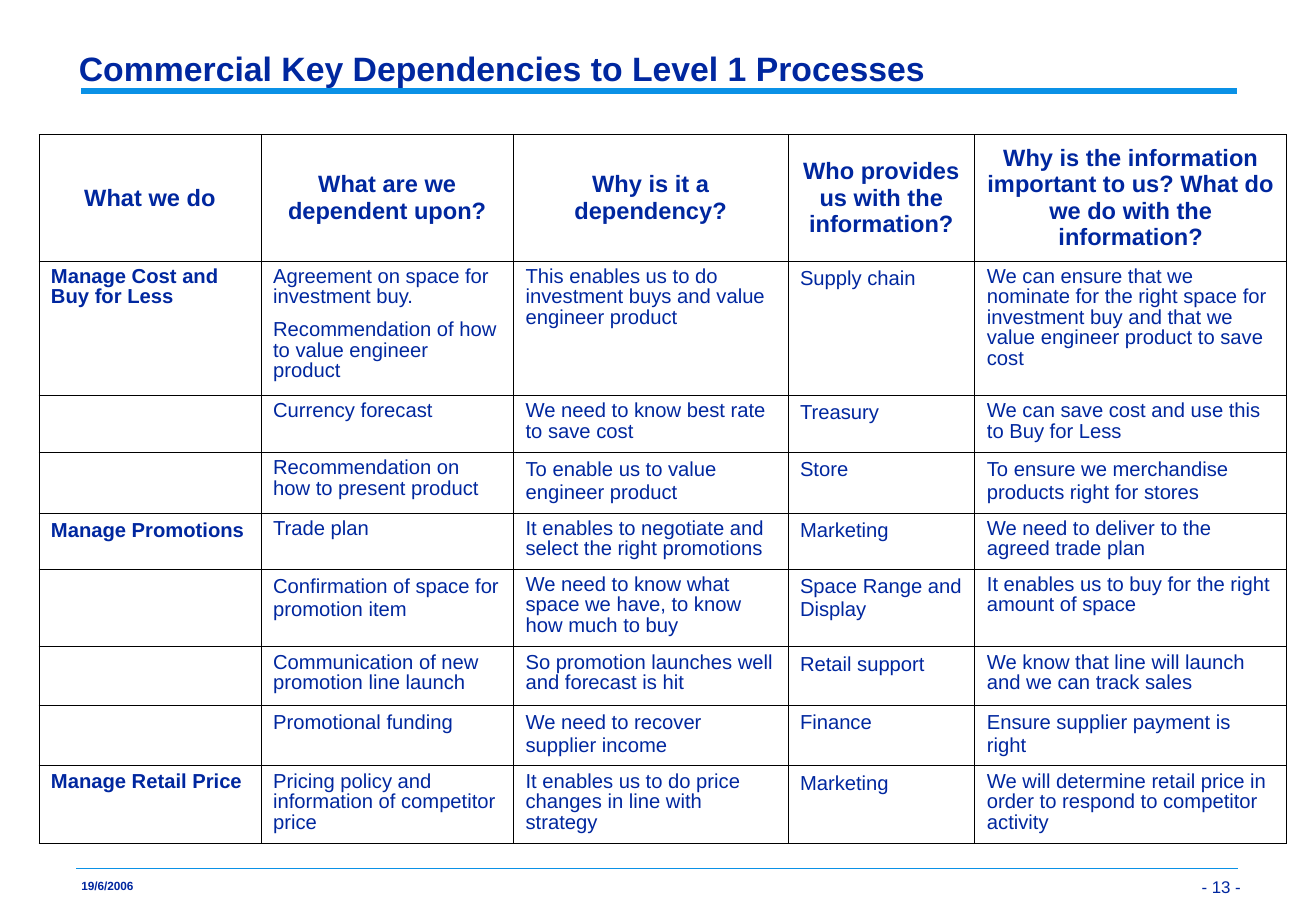
from dataclasses import dataclass
from typing import Any

from lxml.etree import SubElement
from pptx import Presentation
from pptx.dml.color import RGBColor
from pptx.enum.shapes import MSO_CONNECTOR as Conn
from pptx.enum.text import MSO_ANCHOR as Anchor, PP_ALIGN as Align
from pptx.oxml.ns import qn
from pptx.util import Inches, Pt


@dataclass(frozen=True)
class Theme:
    font: str = "Arial"
    ink: str = "00279F"
    rule: str = "0A91E6"
    grid: str = "000000"
    paper: str = "FFFFFF"
    title: float = 20
    header: float = 14
    body: float = 12
    page: float = 10
    date: float = 7


@dataclass(frozen=True)
class Rule:
    left: float
    right: float
    y: float
    width: float


@dataclass(frozen=True)
class Label:
    text: str
    box: tuple[float, float, float, float]
    size: float
    bold: bool
    frame: dict[str, Any]
    para: dict[str, Any]


@dataclass(frozen=True)
class Row:
    height: float
    cells: tuple[str, ...]
    loose: tuple[int, ...] = (3,)


THEME = Theme()
INSET = {
    "margin_left": Inches(0.07), "margin_right": Inches(0.07),
    "margin_top": Inches(0.03), "margin_bottom": Inches(0.03),
}
TIGHT = {"line_spacing": 0.9}

RULES = [Rule(0.67, 10.19, 0.75, 4), Rule(0.63, 10.2, 7.15, 1)]
LABELS = [
    Label("Commercial Key Dependencies to Level 1 Processes", (0.58, 0.33, 9.63, 0.44),
          THEME.title, True,
          INSET | {"word_wrap": True, "vertical_anchor": Anchor.BOTTOM},
          {"line_spacing": 0.97}),
    Label("- 13 -", (9.69, 7.02, 0.6, 0.39), THEME.page, False,
          INSET | {"word_wrap": True, "vertical_anchor": Anchor.BOTTOM},
          {"alignment": Align.RIGHT}),
    Label("19/6/2006", (0.67, 7.25, 0.43, 0.11), THEME.date, True,
          dict.fromkeys(INSET, 0) | {"word_wrap": False}, TIGHT),
]

COLUMNS = (1.83, 2.08, 2.26, 1.54, 2.57)
ROWS = [
    Row(1.04, ("What we do", "What are we dependent upon?", "Why is it a dependency?",
               "Who provides us with the information?",
               "Why is the information important to us? What do we do with the information?")),
    Row(1, ("Manage Cost and Buy for Less",
            "Agreement on space for investment buy.\n"
            "Recommendation of how to value engineer product",
            "This enables us to do investment buys and value engineer product",
            "Supply chain",
            "We can ensure that we nominate for the right space for investment buy "
            "and that we value engineer product to save cost")),
    Row(0.47, ("", "Currency forecast", "We need to know best rate to save cost",
               "Treasury", "We can save cost and use this to Buy for Less")),
    Row(0.5, ("", "Recommendation on how to present product",
              "To enable us to value engineer product", "Store",
              "To ensure we merchandise products right for stores"), (2, 3, 4)),
    Row(0.46, ("Manage Promotions", "Trade plan",
               "It enables to negotiate and select the right promotions",
               "Marketing", "We need to deliver to the agreed trade plan"), (0, 3)),
    Row(0.64, ("", "Confirmation of space for promotion item",
               "We need to know what space we have, to know how much to buy",
               "Space Range and Display",
               "It enables us to buy for the right amount of space"), (1, 3)),
    Row(0.48, ("", "Communication of new promotion line launch",
               "So promotion launches well and forecast is hit", "Retail support",
               "We know that line will launch and we can track sales")),
    Row(0.5, ("", "Promotional funding", "We need to recover supplier income",
              "Finance", "Ensure supplier payment is right"), (1, 2, 3, 4)),
    Row(0.64, ("Manage Retail Price", "Pricing policy and information of competitor price",
               "It enables us to do price changes in line with strategy", "Marketing",
               "We will determine retail price in order to respond to competitor activity")),
]


def apply(target: Any, values: dict[str, Any]) -> None:
    for name, value in values.items():
        setattr(target, name, value)


def write(tf: Any, text: str, size: float, bold: bool, para: dict[str, Any]) -> None:
    for i, line in enumerate(text.split("\n")):
        p = tf.add_paragraph() if i else tf.paragraphs[0]
        apply(p, para | ({"space_before": Pt(7.5)} if i else {}))
        if not line:
            apply(p.font, {"size": Pt(size), "name": THEME.font})
            continue
        r = p.add_run()
        r.text = line
        apply(r.font, {"size": Pt(size), "bold": bold, "name": THEME.font})
        r.font.color.rgb = RGBColor.from_string(THEME.ink)


def add_rule(s: Any, rule: Rule) -> None:
    y = Inches(rule.y)
    line = s.shapes.add_connector(Conn.STRAIGHT, Inches(rule.left), y, Inches(rule.right), y)
    line.line.color.rgb = RGBColor.from_string(THEME.rule)
    line.line.width = Pt(rule.width)
    SubElement(line._element.spPr, qn("a:effectLst"))


def add_label(s: Any, label: Label) -> None:
    tf = s.shapes.add_textbox(*map(Inches, label.box)).text_frame
    apply(tf, label.frame)
    write(tf, label.text, label.size, label.bold, label.para)


def style_cell(cell: Any) -> None:
    tc_pr = cell._tc.get_or_add_tcPr()
    for side in ("lnL", "lnR", "lnT", "lnB"):
        ln = SubElement(tc_pr, qn(f"a:{side}"), w=str(Pt(0.45)))
        fill = SubElement(ln, qn("a:solidFill"))
        SubElement(fill, qn("a:srgbClr"), val=THEME.grid)
    cell.fill.solid()
    cell.fill.fore_color.rgb = RGBColor.from_string(THEME.paper)


def add_dependencies(s: Any, left: float, top: float) -> None:
    height = sum(row.height for row in ROWS)
    table = s.shapes.add_table(len(ROWS), len(COLUMNS), Inches(left), Inches(top),
                               Inches(sum(COLUMNS)), Inches(height)).table
    apply(table, {"first_row": False, "horz_banding": False})
    for column, width in zip(table.columns, COLUMNS):
        column.width = Inches(width)
    for i, row in enumerate(ROWS):
        table.rows[i].height = Inches(row.height)
        for j, text in enumerate(row.cells):
            cell = table.cell(i, j)
            style_cell(cell)
            if i == 0:
                cell.vertical_anchor = Anchor.MIDDLE
                write(cell.text_frame, text, THEME.header, True, {"alignment": Align.CENTER})
            else:
                para = {} if j in row.loose else TIGHT
                write(cell.text_frame, text, THEME.body, j == 0, para)


def main() -> None:
    prs = Presentation()
    apply(prs, {"slide_width": Inches(10.84), "slide_height": Inches(7.5)})
    s = prs.slides.add_slide(prs.slide_layouts[6])
    for rule in RULES:
        add_rule(s, rule)
    for label in LABELS:
        add_label(s, label)
    add_dependencies(s, 0.32, 1.11)
    prs.save("out.pptx")


if __name__ == "__main__":
    main()
